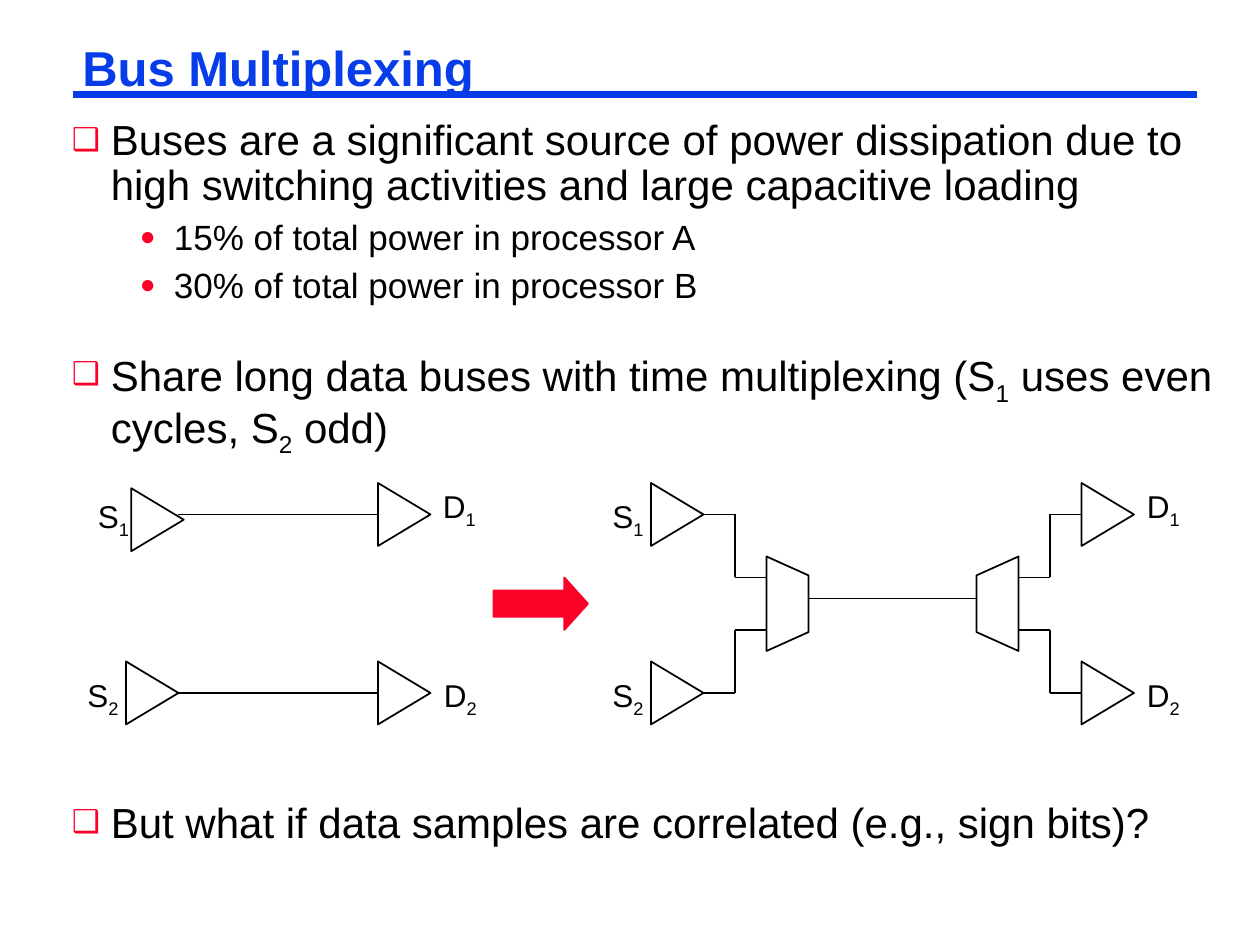
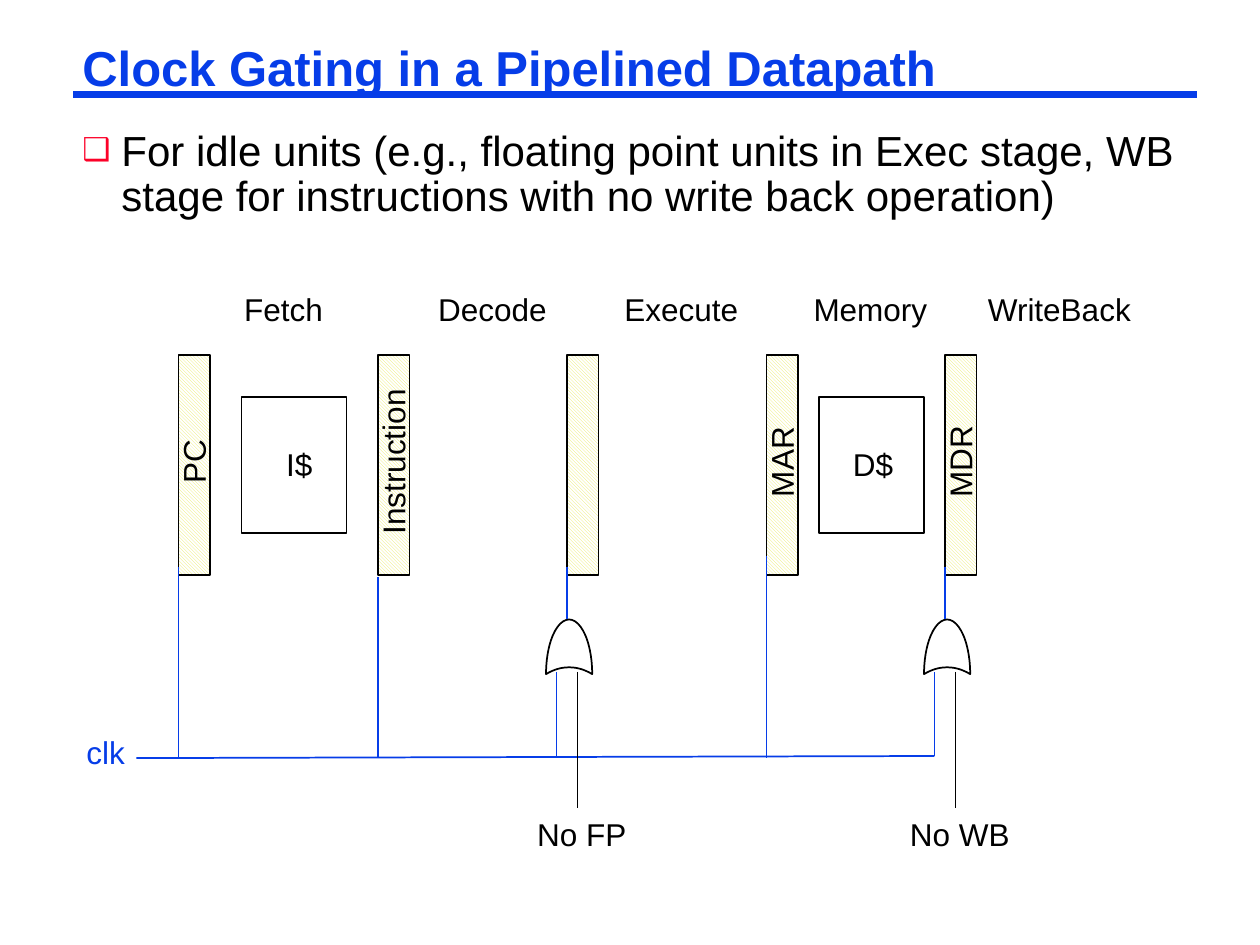
from typing import NamedTuple

from lxml import etree
from pptx import Presentation
from pptx import util as u
from pptx.dml.color import RGBColor
from pptx.enum import dml, shapes, text
from pptx.oxml.ns import qn

COLOURS = {"blue": "063DE8", "red": "FC0128", "black": "000000",
           "white": "FFFFFF", "yellow": "EAEC5E"}
FONT = "Arial"
CELLS_PER_INCH = 12  # the slide is a grid of 120 columns by 90 rows
SHAPE = shapes.MSO_SHAPE


class Box(NamedTuple):
    col: float
    row: float
    cols: float
    rows: float


class Wire(NamedTuple):
    col1: float
    row1: float
    col2: float
    row2: float
    colour: str = "black"
    width: float = 1


class Label(NamedTuple):
    wording: str
    centre_col: float
    centre_row: float
    cols: float
    colour: str = "black"
    rotation: int = 0


class Level(NamedTuple):
    bullet: str
    size: int
    margin: float
    indent: float
    line_spacing: float
    space_before: float


class Item(NamedTuple):
    wording: str
    level: int = 0


LEVELS = [Level("❑", 24, 0.31, -0.31, 0.9, 15.5), Level("●", 20, 0.81, -0.27, 0.8, 8)]


def grid(cells: float) -> int:
    return u.Inches(cells / CELLS_PER_INCH)


def rgb(name: str) -> RGBColor:
    return RGBColor.from_string(COLOURS[name])


def style_font(paragraph, size: int, colour: str, bold: bool = False) -> None:
    font = paragraph.font
    font.name, font.size, font.bold = FONT, u.Pt(size), bold
    font.color.rgb = rgb(colour)


def write(paragraph, wording: str) -> None:
    """Write the wording; the character after each underscore is a subscript."""
    first, *rest = wording.split("_")
    paragraph.add_run().text = first
    for piece in rest:
        subscript = paragraph.add_run()
        subscript.text = piece[0]
        subscript._r.get_or_add_rPr().set("baseline", "-25000")
        if piece[1:]:
            paragraph.add_run().text = piece[1:]


def place(shape, box: Box) -> None:
    shape.left, shape.top, shape.width, shape.height = map(grid, box)


def prepare_frame(shape):
    frame = shape.text_frame
    frame.word_wrap = True
    frame.auto_size = text.MSO_AUTO_SIZE.NONE
    frame.vertical_anchor = text.MSO_ANCHOR.TOP
    frame.margin_left = frame.margin_right = u.Inches(0.07)
    frame.margin_top = frame.margin_bottom = u.Inches(0.03)
    return frame


def add_bullet(paragraph, level: Level) -> None:
    properties = paragraph._p.get_or_add_pPr()
    properties.set("marL", str(u.Inches(level.margin)))
    properties.set("indent", str(u.Inches(level.indent)))
    colour = etree.SubElement(properties, qn("a:buClr"))
    etree.SubElement(colour, qn("a:srgbClr"), val=COLOURS["red"])
    etree.SubElement(properties, qn("a:buSzPct"), val="75000")
    etree.SubElement(properties, qn("a:buFont"), typeface=FONT)
    etree.SubElement(properties, qn("a:buChar"), char=level.bullet)


def fill_list(shape, box: Box, items: list[Item]) -> None:
    place(shape, box)
    frame = prepare_frame(shape)
    for number, item in enumerate(items):
        paragraph = frame.add_paragraph() if number else frame.paragraphs[0]
        level = LEVELS[item.level]
        paragraph.level = item.level
        add_bullet(paragraph, level)
        paragraph.line_spacing = level.line_spacing
        paragraph.space_before = u.Pt(level.space_before if number else 0)
        style_font(paragraph, level.size, "black")
        write(paragraph, item.wording)


def add_list(slide, box: Box, items: list[Item]) -> None:
    fill_list(slide.shapes.add_textbox(0, 0, 0, 0), box, items)


def draw_wire(slide, wire: Wire) -> None:
    line = slide.shapes.add_connector(
        shapes.MSO_CONNECTOR.STRAIGHT, grid(wire.col1), grid(wire.row1),
        grid(wire.col2), grid(wire.row2))
    line.line.color.rgb = rgb(wire.colour)
    line.line.width = u.Pt(wire.width)
    etree.SubElement(line._element.spPr, qn("a:effectLst"))


def draw_label(slide, label: Label) -> None:
    rows = 4.8
    box = slide.shapes.add_textbox(0, 0, 0, 0)
    place(box, Box(label.centre_col - label.cols / 2, label.centre_row - rows / 2,
                   label.cols, rows))
    box.rotation = label.rotation
    frame = box.text_frame
    frame.word_wrap = False
    frame.vertical_anchor = text.MSO_ANCHOR.MIDDLE
    paragraph = frame.paragraphs[0]
    paragraph.alignment = text.PP_ALIGN.CENTER
    style_font(paragraph, 18, label.colour)
    write(paragraph, label.wording)


def draw_part(slide, kind, box: Box, rotation: int = 0, fill: str | None = None,
              line: str = "black"):
    """Draw a shape that covers the box after a turn by a multiple of 90 degrees."""
    col, row, cols, rows = box
    if rotation % 180:
        col, row = col + (cols - rows) / 2, row + (rows - cols) / 2
        cols, rows = rows, cols
    part = slide.shapes.add_shape(kind, *map(grid, (col, row, cols, rows)))
    part.rotation = rotation
    part.shadow.inherit = False
    if fill:
        part.fill.solid()
        part.fill.fore_color.rgb = rgb(fill)
    else:
        part.fill.background()
    part.line.color.rgb = rgb(line)
    part.line.width = u.Pt(1)
    return part


def draw_buffer(slide, col: float, row: float) -> None:
    draw_part(slide, SHAPE.FLOWCHART_EXTRACT, Box(col, row, 5, 6), 90)


def add_titled_slide(deck, title: str):
    slide = deck.slides.add_slide(deck.slide_layouts.get_by_name("Title and Content"))
    draw_wire(slide, Wire(7, 9, 114, 9, "blue", 4.5))
    heading = slide.shapes.title
    place(heading, Box(7, 4, 107, 5.5))
    paragraph = prepare_frame(heading).paragraphs[0]
    paragraph.alignment = text.PP_ALIGN.LEFT
    paragraph.line_spacing = 0.87
    style_font(paragraph, 28, "blue", bold=True)
    write(paragraph, title)
    return slide


def build_bus_multiplexing(deck) -> None:
    slide = add_titled_slide(deck, "Bus Multiplexing")
    add_list(slide, Box(6, 11, 114, 19), [
        Item("Buses are a significant source of power dissipation due to high "
             "switching activities and large capacitive loading"),
        Item("15% of total power in processor A", 1),
        Item("30% of total power in processor B", 1)])
    fill_list(slide.placeholders[1], Box(6, 33, 114, 9.2), [
        Item("Share long data buses with time multiplexing (S_1 uses even cycles, "
             "S_2 odd)")])
    add_list(slide, Box(6, 76, 114, 5), [
        Item("But what if data samples are correlated (e.g., sign bits)?")])

    # Dedicated buses: one wire for each source and destination
    draw_buffer(slide, 12.5, 46.5)
    for col, row in [(12, 63), (36, 46), (36, 63)]:
        draw_buffer(slide, col, row)
    for row in (49, 66):
        draw_wire(slide, Wire(17, row, 36, row))

    # Shared bus: sources and destinations joined through multiplexers
    for buffer_row, port_row in [(46, 55), (63, 60)]:
        middle = buffer_row + 3
        for buffer_col in (62, 103):
            draw_buffer(slide, buffer_col, buffer_row)
        for buffer_edge, bend, mux_edge in [(67, 70, 73), (103, 100, 97)]:
            draw_wire(slide, Wire(buffer_edge, middle, bend, middle))
            draw_wire(slide, Wire(bend, middle, bend, port_row))
            draw_wire(slide, Wire(bend, port_row, mux_edge, port_row))
    for mux_col, rotation in [(73, 270), (93, 90)]:
        draw_part(slide, SHAPE.FLOWCHART_MANUAL_OPERATION,
                  Box(mux_col, 53, 4, 9), rotation)
    draw_wire(slide, Wire(77, 57, 93, 57))

    for wording, col, row in [
            ("S_1", 10.8, 49.4), ("S_2", 9.8, 66.4), ("D_1", 43.75, 48.4),
            ("D_2", 43.85, 66.4), ("S_1", 59.8, 49.4), ("S_2", 59.8, 66.4),
            ("D_1", 110.8, 48.4), ("D_2", 110.8, 66.4)]:
        draw_label(slide, Label(wording, col, row, 5.6))

    arrow = draw_part(slide, SHAPE.RIGHT_ARROW, Box(47, 55, 9, 5), fill="red", line="red")
    arrow.adjustments[1] = 0.45


def build_clock_gating(deck) -> None:
    slide = add_titled_slide(deck, "Clock Gating in a Pipelined Datapath")
    fill_list(slide.placeholders[1], Box(7, 12, 107, 9.2), [
        Item("For idle units (e.g., floating point units in Exec stage, WB stage for "
             "instructions with no write back operation)")])

    register_top, clock_row = 33.8, 72.2
    for col, name, cols in [(17, "PC", 6.6), (36, "Instruction", 16.2), (54, "", 0),
                            (73, "MAR", 9.1), (90, "MDR", 9.2)]:
        register = draw_part(slide, SHAPE.RECTANGLE, Box(col, register_top, 3, 21))
        register.fill.patterned()
        register.fill.pattern = dml.MSO_PATTERN.LIGHT_DOWNWARD_DIAGONAL
        register.fill.fore_color.rgb = rgb("yellow")
        register.fill.back_color.rgb = rgb("white")
        if name:
            draw_label(slide, Label(name, col + 1.4, 44, cols, rotation=270))

    for name, centre, cols in [("Fetch", 27, 10), ("Decode", 46.9, 12.7),
                               ("Execute", 64.9, 13.2), ("Memory", 82.9, 13.2),
                               ("WriteBack", 100.9, 16.1)]:
        draw_label(slide, Label(name, centre, 29.4, cols))

    for col, name, centre, cols in [(23, "I$", 28.5, 4.9), (78, "D$", 83.15, 6.2)]:
        draw_part(slide, SHAPE.RECTANGLE, Box(col, 37.8, 10, 13), fill="white")
        draw_label(slide, Label(name, centre, 44.2, cols))

    draw_label(slide, Label("clk", 10.05, 71.6, 6.1, "blue"))
    draw_wire(slide, Wire(13, clock_row, 89, 72, "blue"))
    for col, row in [(17, 54), (36, 55), (73, 53)]:
        draw_wire(slide, Wire(col, row, col, clock_row, "blue"))

    for col, condition, cols in [(54, "No FP", 10.9), (90, "No WB", 11.9)]:
        gate = draw_part(slide, SHAPE.MOON, Box(col - 2, 59, 4.4, 5.2), 90)
        gate.adjustments[0] = 0.875
        draw_wire(slide, Wire(col, 54, col, 59, "blue"))
        draw_wire(slide, Wire(col - 1, 64, col - 1, 72, "blue"))
        draw_wire(slide, Wire(col + 1, 64, col + 1, 77))
        draw_label(slide, Label(condition, col + 1.4, 79.4, cols))


def main() -> None:
    deck = Presentation()
    deck.slide_width, deck.slide_height = u.Inches(10), u.Inches(7.5)
    build_bus_multiplexing(deck)
    build_clock_gating(deck)
    deck.save("out.pptx")


if __name__ == "__main__":
    main()
